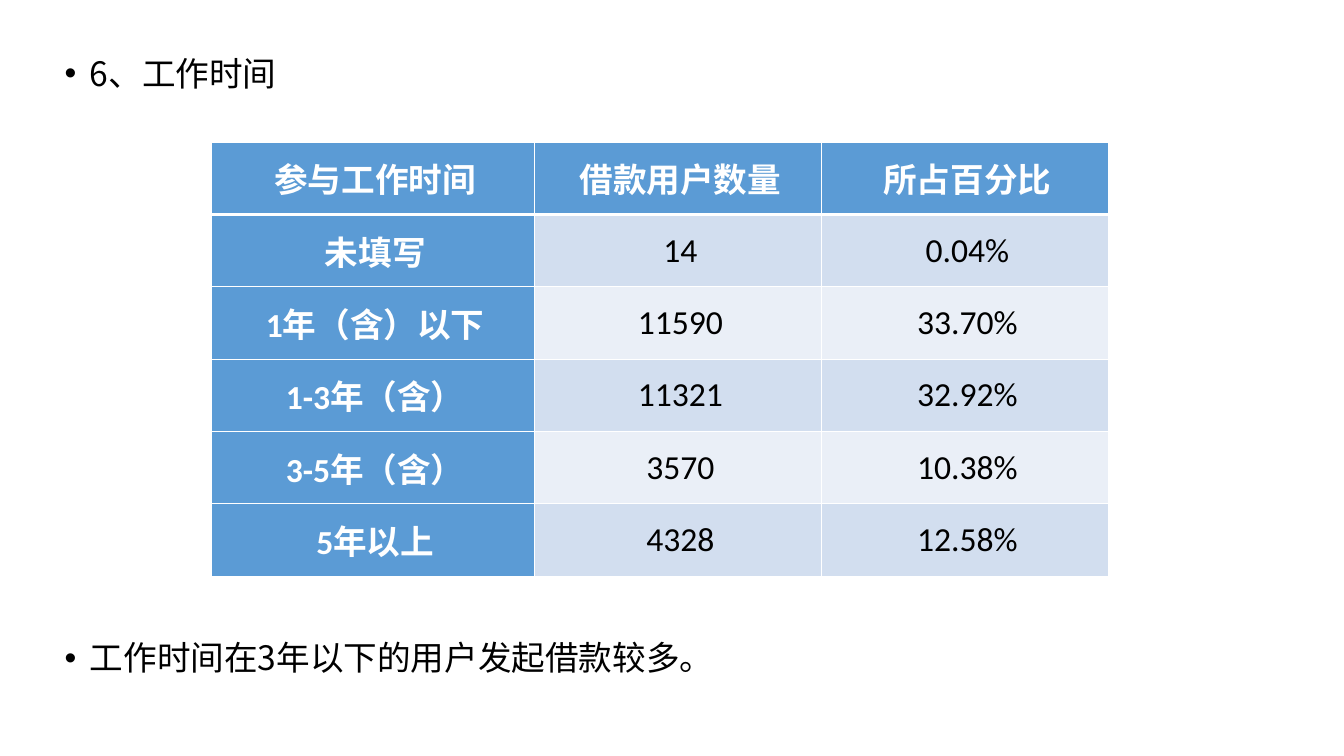
from lxml.etree import SubElement
from pptx import Presentation
from pptx.dml.color import RGBColor
from pptx.enum.text import MSO_ANCHOR, MSO_AUTO_SIZE, PP_ALIGN
from pptx.oxml.ns import qn
from pptx.util import Pt

POINTS = ["6、工作时间", "工作时间在3年以下的用户发起借款较多。"]
SPACES_BEFORE = [10, 374]
ROWS = [
    ("参与工作时间", "借款用户数量", "所占百分比"),
    ("未填写", "14", "0.04%"),
    ("1年（含）以下", "11590", "33.70%"),
    ("1-3年（含）", "11321", "32.92%"),
    ("3-5年（含）", "3570", "10.38%"),
    ("5年以上", "4328", "12.58%"),
]
COLUMN_WIDTHS = [231, 205, 205]
ROW_HEIGHT = 51.7
COLORS = {
    "header": "5B9BD5",
    "odd": "D2DEEF",
    "even": "EAEFF7",
    "light": "FFFFFF",
    "dark": "000000",
}


def color(name):
    return RGBColor.from_string(COLORS[name])


def set_font(paragraph, typeface, color_name, bold=False):
    font = paragraph.font
    font.name = typeface
    font.size = Pt(24)
    font.bold = bold
    font.color.rgb = color(color_name)


def set_indent(paragraph, margin, first_line):
    properties = paragraph._p.get_or_add_pPr()
    properties.set("marL", str(Pt(margin)))
    properties.set("indent", str(Pt(first_line)))


def add_borders(cell, widths):
    properties = cell._tc.get_or_add_tcPr()
    for side, width in widths.items():
        line = SubElement(properties, qn(f"a:ln{side}"), w=str(Pt(width)))
        fill = SubElement(line, qn("a:solidFill"))
        SubElement(fill, qn("a:srgbClr"), val=COLORS["light"])


def format_cell(cell, text, row, column):
    is_header = row == 0 or column == 0
    add_borders(cell, {
        "L": 1,
        "R": 1,
        "T": 3 if row == 1 else 1,
        "B": 3 if row == 0 else 1,
    })
    cell.fill.solid()
    cell.fill.fore_color.rgb = color(
        "header" if is_header else "odd" if row % 2 else "even")
    cell.vertical_anchor = MSO_ANCHOR.MIDDLE
    cell.margin_left = cell.margin_right = Pt(5)
    cell.margin_top = cell.margin_bottom = 0
    cell.text = text
    paragraph = cell.text_frame.paragraphs[0]
    paragraph.alignment = PP_ALIGN.CENTER
    set_indent(paragraph, 3, 0)
    set_font(paragraph, "Calibri", "light" if is_header else "dark", is_header)


presentation = Presentation()
presentation.slide_width = Pt(960)
presentation.slide_height = Pt(540)
slide = presentation.slides.add_slide(presentation.slide_layouts[1])
title = slide.shapes.title
title.element.getparent().remove(title.element)

body = slide.placeholders[1]
body.left, body.top, body.width, body.height = Pt(39), Pt(20), Pt(880), Pt(500)
frame = body.text_frame
frame.auto_size = MSO_AUTO_SIZE.NONE
frame.vertical_anchor = MSO_ANCHOR.TOP
frame.text = "\n".join(POINTS)
for paragraph, space in zip(frame.paragraphs, SPACES_BEFORE):
    paragraph.line_spacing = 1.5
    paragraph.space_before = Pt(space)
    set_indent(paragraph, 18, -18)
    set_font(paragraph, "Noto Sans CJK SC", "dark")

table = slide.shapes.add_table(
    len(ROWS), len(COLUMN_WIDTHS), Pt(151), Pt(101.5),
    Pt(sum(COLUMN_WIDTHS)), Pt(ROW_HEIGHT * len(ROWS))).table
for column, width in zip(table.columns, COLUMN_WIDTHS):
    column.width = Pt(width)
for row, texts in enumerate(ROWS):
    table.rows[row].height = Pt(ROW_HEIGHT)
    for column, text in enumerate(texts):
        format_cell(table.cell(row, column), text, row, column)

presentation.save("out.pptx")
